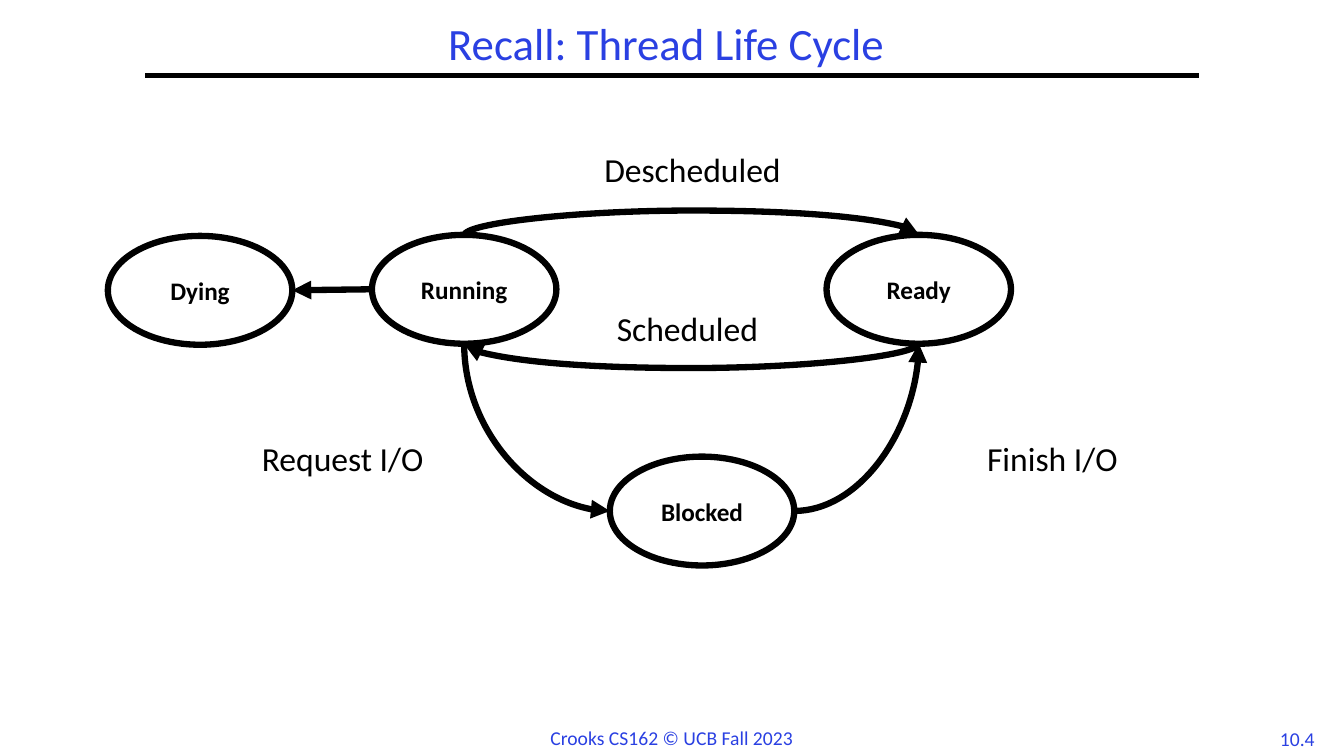
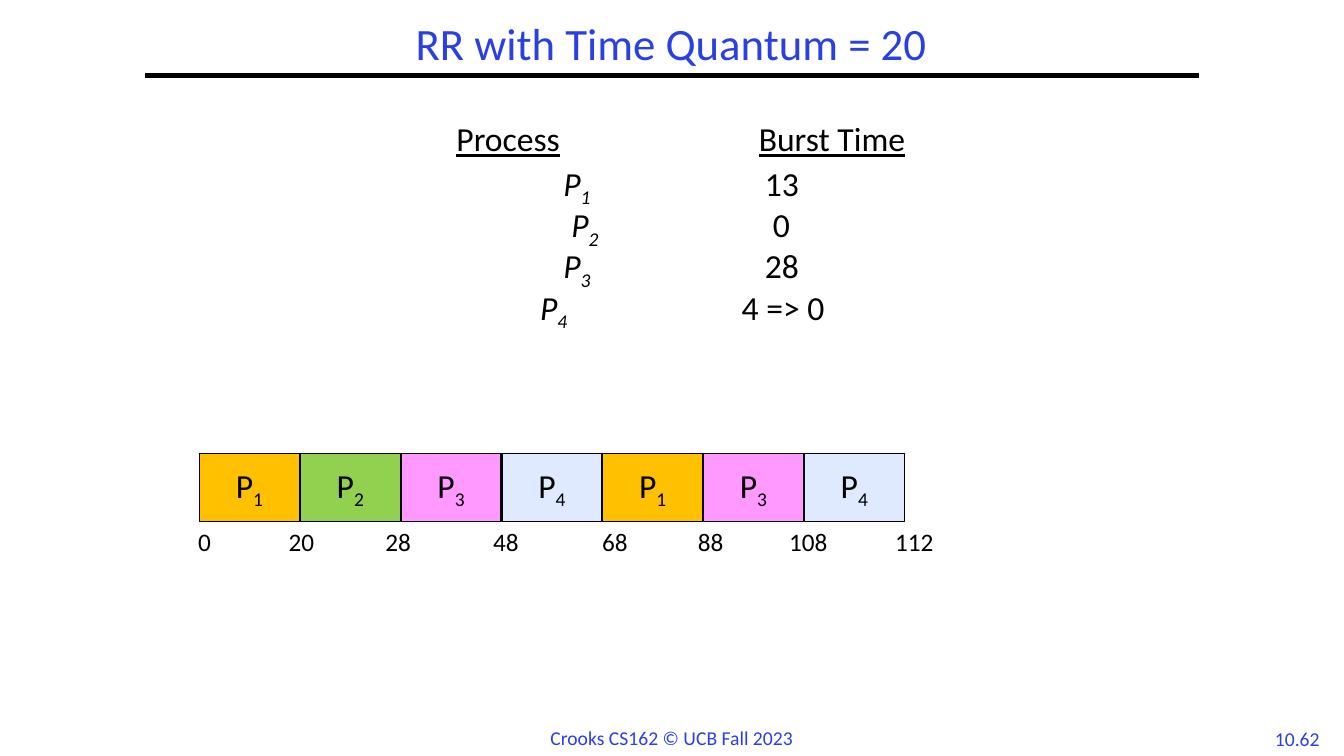
import pptx
import pptx.util
import pptx.dml.color
import pptx.enum.shapes
import pptx.enum.text
import pptx.oxml.ns
import lxml.etree

HUES = {
    "ink": "000000", "paper": "FFFFFF", "blue": "2A40E2",
    "P1": "FFC000", "P2": "92D050", "P3": "FF99FF", "P4": "DFE9FF",
}
TOP, LEFT, BASE, RIGHT = range(4)
KIND = pptx.enum.shapes.MSO_SHAPE
LINK = pptx.enum.shapes.MSO_CONNECTOR
SIDE = pptx.enum.text.PP_ALIGN
MID = pptx.enum.text.MSO_ANCHOR.MIDDLE


def cell(num):
    return pptx.util.Inches(num / 10)


def hue(name):
    return pptx.dml.color.RGBColor.from_string(HUES[name])


def add(node, tag, **keys):
    return lxml.etree.SubElement(node, pptx.oxml.ns.qn(tag), **keys)


class Deck:
    """Slides on a grid of ten cells to the inch, in one shared style."""

    def __init__(self):
        self.file = pptx.Presentation()
        self.file.slide_width = cell(133.33)
        self.file.slide_height = cell(75)
        self.page = None

    def start(self, title, num):
        self.page = self.file.slides.add_slide(self.file.slide_layouts[6])
        rule = self.page.shapes.add_connector(
            LINK.STRAIGHT, cell(14.4), cell(7.5), cell(118.9), cell(7.5))
        self.ink(rule, 3)
        self.note(title, 14.4, 1.7, 104.4, 5.8, size=32, tint="blue", mid=True)
        self.note("Crooks CS162 © UCB Fall 2023", 53.5, 71.5, 26.3, 3.4,
                  size=14, tint="blue", wrap=False)
        self.note(num, 125.3, 71.6, 6.8, 3.3, size=14, tint="blue", wrap=False)

    def ink(self, line, width):
        line.line.color.rgb = hue("ink")
        line.line.width = pptx.util.Pt(width)
        add(line.element.spPr, "a:effectLst")

    def run(self, para, text, size, tint="ink", bold=False, lean=False,
            under=False, sub=False):
        run = para.add_run()
        run.text = text
        font = run.font
        font.name, font.size = "Calibri", pptx.util.Pt(size)
        font.color.rgb = hue(tint)
        font.bold, font.italic, font.underline = bold, lean, under
        if sub:
            font.fill._xPr.set("baseline", "-25000")

    def box(self, x, y, wide, high, wrap=True):
        box = self.page.shapes.add_textbox(
            cell(x), cell(y), cell(wide), cell(high))
        box.text_frame.word_wrap = wrap
        return box.text_frame

    def note(self, text, x, y, wide, high, size=24, tint="ink", mid=False,
             wrap=True):
        frame = self.box(x, y, wide, high, wrap)
        if mid:
            frame.vertical_anchor = MID
        para = frame.paragraphs[0]
        para.alignment = SIDE.CENTER
        if size > 18:
            para.line_spacing = 0.9
        self.run(para, text, size, tint)

    def shape(self, kind, x, y, wide, high, fill, width):
        shape = self.page.shapes.add_shape(
            kind, cell(x), cell(y), cell(wide), cell(high))
        shape.shadow.inherit = False
        shape.fill.solid()
        shape.fill.fore_color.rgb = hue(fill)
        shape.line.color.rgb = hue("ink")
        shape.line.width = pptx.util.Pt(width)
        frame = shape.text_frame
        frame.vertical_anchor = MID
        frame.word_wrap = False
        para = frame.paragraphs[0]
        para.alignment = SIDE.CENTER
        return shape, para

    def state(self, name, x, y):
        shape, para = self.shape(KIND.OVAL, x, y, 18.3, 10.8, "paper", 4.5)
        self.run(para, name, 18, bold=True)
        return shape

    def bar(self, name, x, y):
        para = self.shape(KIND.RECTANGLE, x, y, 9.9, 6.7, name, 0.75)[1]
        self.run(para, name[0], 24)
        self.run(para, name[1], 24, sub=True)

    def arrow(self, tail, exit, head, entry, kind="straightConnector1",
              turn=0, flip="", bend=None):
        link = self.page.shapes.add_connector(LINK.STRAIGHT, 0, 0, 0, 0)
        link.begin_connect(tail, exit)
        link.end_connect(head, entry)
        self.ink(link, 4.5)
        add(link.line._get_or_add_ln(), "a:tailEnd", type="triangle")
        for tag, side in (("stCxn", exit), ("endCxn", entry)):
            link.element.xpath(f".//a:{tag}")[0].set("idx", str(2 * side))
        if kind == "straightConnector1":
            return
        midx = (link.begin_x + link.end_x) // 2
        midy = (link.begin_y + link.end_y) // 2
        wide = abs(link.end_x - link.begin_x)
        high = abs(link.end_y - link.begin_y)
        if turn % 180:
            wide, high = max(high, cell(0.1)), wide
        link.left, link.top = midx - wide // 2, midy - high // 2
        link.width, link.height = wide, high
        frame = link.element.xpath(".//a:xfrm")[0]
        frame.set("rot", str(turn * 60000))
        for axis in "HV":
            frame.set("flip" + axis, str(int(axis in flip)))
        geom = link.element.xpath(".//a:prstGeom")[0]
        geom.set("prst", kind)
        if bend:
            add(geom.xpath("a:avLst")[0], "a:gd", name="adj1",
                fmla=f"val {bend * 100000}")

    def row(self, frame, first, stops, left, right, under=False):
        para = frame.paragraphs[0] if first else frame.add_paragraph()
        para.line_spacing = 0.9
        tabs = add(para._p.get_or_add_pPr(), "a:tabLst")
        for stop in stops:
            add(tabs, "a:tab", pos=str(cell(stop)), algn="l")
        self.run(para, "\t", 24)
        if under:
            self.run(para, left, 24, under=True)
        else:
            self.run(para, left[0], 24, lean=True)
            self.run(para, left[1], 24, lean=True, sub=True)
        self.run(para, "\t", 24)
        self.run(para, right, 24, under=under)
        return para


def cycle(deck):
    deck.start("Recall: Thread Life Cycle ", "10.4")
    run = deck.state("Running", 36.9, 23.3)
    ready = deck.state("Ready", 82, 23.3)
    block = deck.state("Blocked", 60.5, 45.3)
    dying = deck.state("Dying", 10.7, 23.4)
    deck.arrow(run, TOP, ready, TOP, "curvedConnector3", 90, "HV", 25)
    deck.arrow(ready, BASE, run, BASE, "curvedConnector3", 90, "", 25)
    deck.arrow(run, BASE, block, LEFT, "curvedConnector2", 270, "H")
    deck.arrow(block, RIGHT, ready, BASE, "curvedConnector2", 0, "V")
    deck.arrow(run, LEFT, dying, RIGHT)
    for text, x, y in (("Request I/O", 19.3, 43.4), ("Finish I/O", 89.7, 43.4),
                       ("Descheduled", 54, 14.7), ("Scheduled", 53.5, 30.5)):
        deck.note(text, x, y, 29.4, 5)


def robin(deck):
    deck.start("RR with Time Quantum = 20", "10.62")
    frame = deck.box(35.3, 11.7, 64.4, 21)
    deck.row(frame, True, (9, 39), "Process", "Burst Time", under=True)
    rows = (("P1", "13", 19.6), ("P2", "0", 20.4),
            ("P3", "28", 19.6), ("P4", "4 => 0", 17.3))
    for name, time, stop in rows:
        para = deck.row(frame, False, (stop, stop + 20), name, time)
        para.space_before = pptx.util.Pt(3 if name == "P1" else 0)
    order = ("P1", "P2", "P3", "P4", "P1", "P3", "P4")
    for spot, name in enumerate(order):
        deck.bar(name, 19.8 + 10 * spot, 45)
    times = (("0", 20.3), ("20", 29.9), ("28", 39.5), ("48", 50.2),
             ("68", 61), ("88", 70.5), ("108", 80.2), ("112", 90.7))
    for time, mid in times:
        deck.note(time, mid - 3.7, 51.7, 7.4, 4, size=18, mid=True, wrap=False)


def main():
    deck = Deck()
    cycle(deck)
    robin(deck)
    deck.file.save("out.pptx")


if __name__ == "__main__":
    main()
